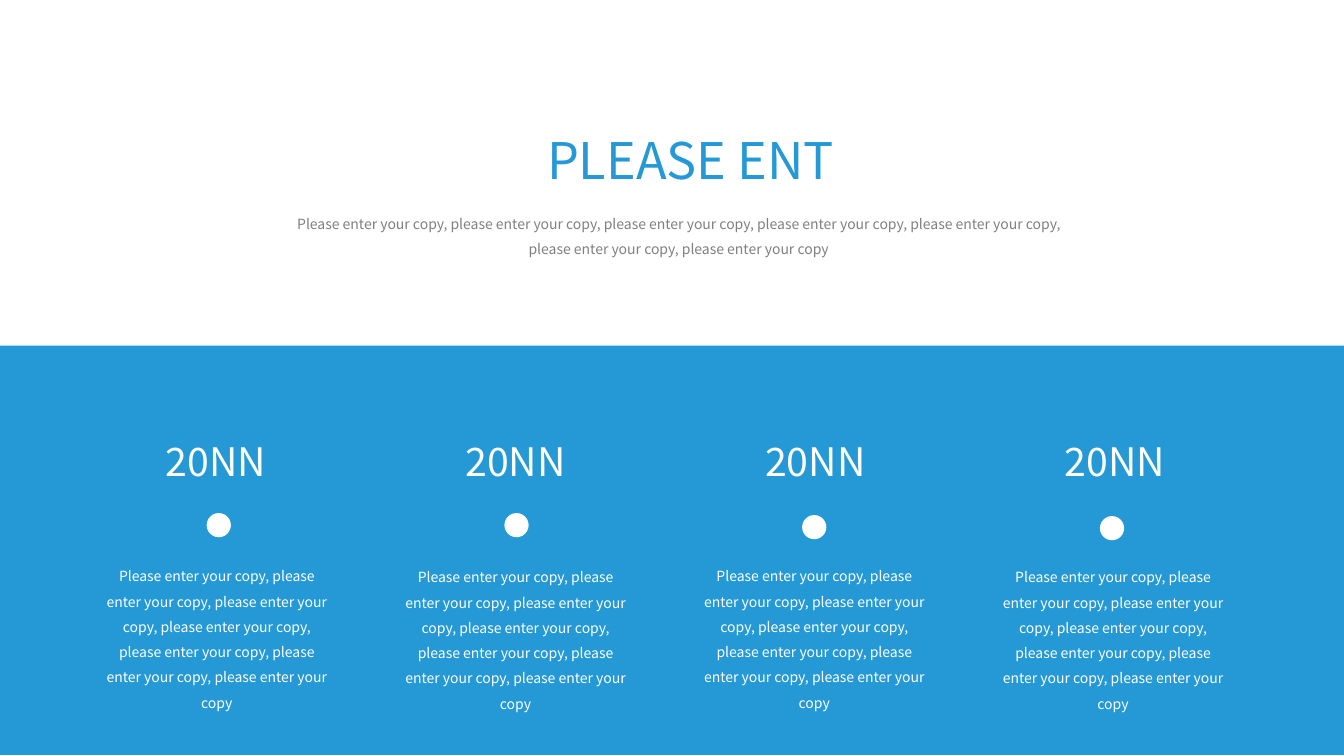
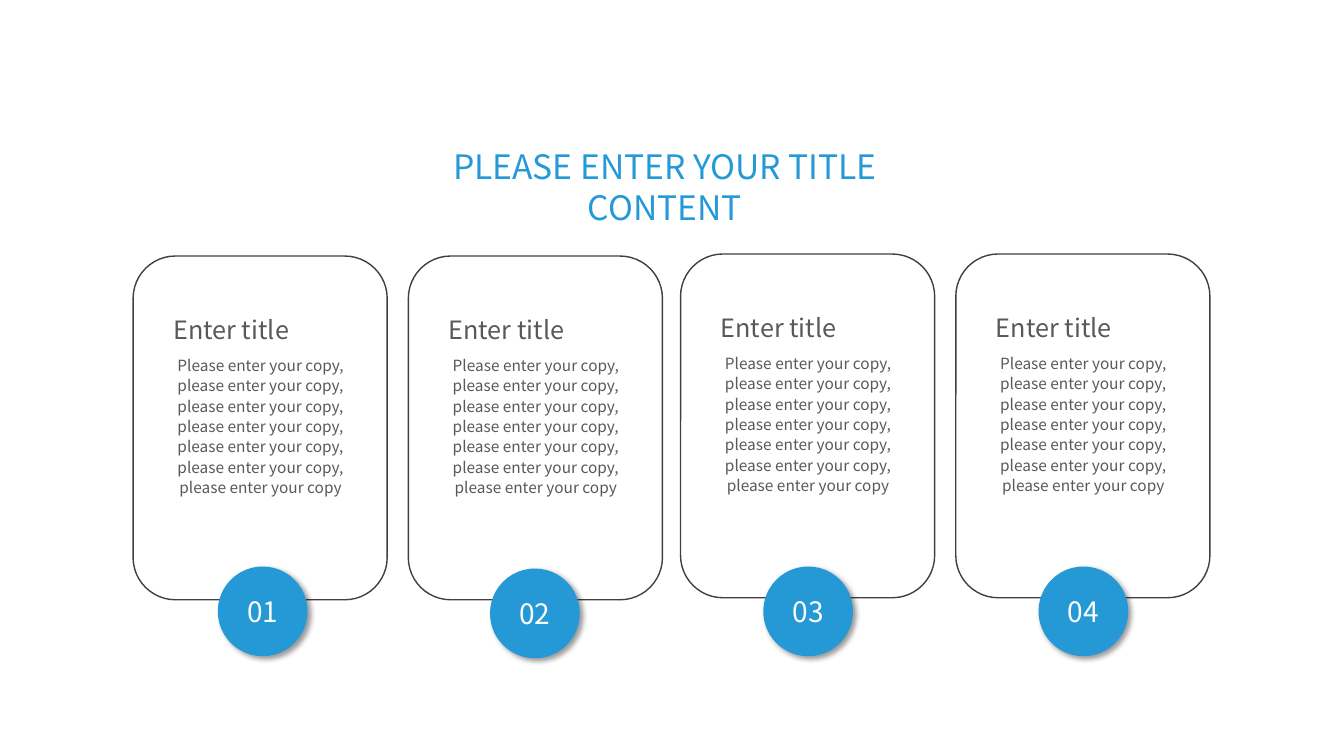
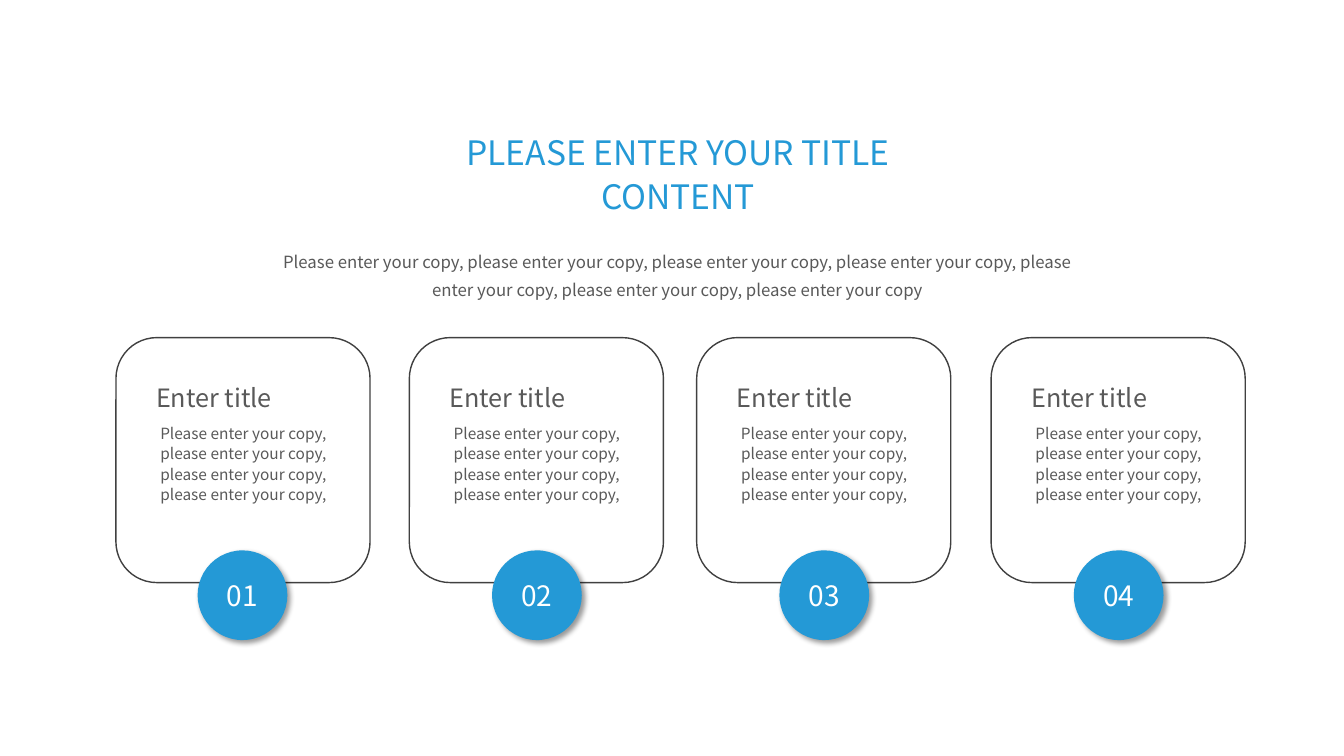
from pptx import Presentation
from pptx.dml.color import RGBColor
from pptx.enum.shapes import MSO_SHAPE
from pptx.enum.text import MSO_ANCHOR, MSO_AUTO_SIZE, PP_ALIGN
from pptx.oxml import parse_xml
from pptx.oxml.ns import nsdecls, qn
from pptx.util import Inches, Pt

RECT, ROUND, OVAL = MSO_SHAPE.RECTANGLE, MSO_SHAPE.ROUNDED_RECTANGLE, MSO_SHAPE.OVAL
LEFT, CENTER = PP_ALIGN.LEFT, PP_ALIGN.CENTER
MIDDLE = MSO_ANCHOR.MIDDLE
GROW = MSO_AUTO_SIZE.SHAPE_TO_FIT_TEXT


class Theme:
    font = "Noto Sans CJK SC"
    blue = RGBColor(0x24, 0x99, 0xD6)
    white = RGBColor(0xFF, 0xFF, 0xFF)
    pale = RGBColor(0x80, 0x80, 0x80)
    gray = RGBColor(0x59, 0x59, 0x59)
    dark = RGBColor(0x40, 0x40, 0x40)
    hero, year, title, badge, head = 36, 28, 24, 20, 18
    lead, body, small = 12, 11, 10


SHADOW = (
    f'<a:outerShdw {nsdecls("a")} blurRad="50800" dist="38100" dir="2700000" '
    'algn="tl" rotWithShape="0"><a:srgbClr val="000000"><a:alpha val="40000"/>'
    '</a:srgbClr></a:outerShdw>'
)


def add_shape(slide, kind, box, fill=None, line=None):
    shape = slide.shapes.add_shape(kind, *map(Inches, box))
    shape.shadow.inherit = False
    if fill is None:
        shape.fill.background()
    else:
        shape.fill.solid()
        shape.fill.fore_color.rgb = fill
    if line is None:
        shape.line.fill.background()
    else:
        shape.line.color.rgb = line
        shape.line.width = Pt(1)
    return shape


def add_text(slide, box, text, size, color, align=CENTER, space=1.0, pad=(0.1, 0.05), host=None):
    """Write into the host shape, or into a new text box that grows."""
    frame = (host or slide.shapes.add_textbox(*map(Inches, box))).text_frame
    frame.word_wrap = True
    if host is None:
        frame.auto_size = GROW
    else:
        frame.vertical_anchor = MIDDLE
    frame.margin_left = frame.margin_right = Inches(pad[0])
    frame.margin_top = frame.margin_bottom = Inches(pad[1])
    frame.text = text
    para = frame.paragraphs[0]
    para.alignment = align
    para.line_spacing = space
    font = para.runs[0].font
    font.name, font.size, font.color.rgb = Theme.font, Pt(size), color


deck = Presentation()
deck.slide_width, deck.slide_height = Inches(13.33), Inches(7.5)
years, tall, short = [deck.slides.add_slide(deck.slide_layouts[6]) for _ in range(3)]

COPY = "Please enter your copy" + ", please enter your copy" * 6
BRIEF = "Please enter your copy," + " please enter your copy," * 3
TITLE = "PLEASE ENTER YOUR TITLE CONTENT"

# Slide 1: heading over a blue band with four years
add_shape(years, RECT, (0, 3.43, 13.33, 4.06), Theme.blue)
add_text(years, (4.95, 1.23, 3.8, 0.71), "PLEASE ENT", Theme.hero, Theme.blue)
add_text(years, (2.88, 2.05, 7.7, 0.5), COPY, Theme.small, Theme.pale, space=1.5, pad=(0, 0))
for i, (dot, note) in enumerate([(5.09, 5.55), (5.09, 5.56), (5.11, 5.55), (5.12, 5.56)]):
    add_shape(years, OVAL, (2.05 + 2.953 * i, dot, 0.24, 0.24), Theme.white)
    add_text(years, (1.44 + 2.973 * i, 4.29, 1.4, 0.57), "20NN", Theme.year, Theme.white)
    add_text(years, (1 + 2.963 * i, note, 2.3, 1.51), COPY, Theme.small, Theme.white,
             space=1.5, pad=(0, 0))

# Slides 2 and 3: headings
add_text(tall, (3.91, 1.4, 5.37, 0.91), TITLE, Theme.title, Theme.blue)
add_text(short, (4.08, 1.22, 5.29, 0.99), TITLE, Theme.title, Theme.blue, space=1.1)
add_text(short, (2.61, 2.37, 8.22, 0.66), COPY, Theme.lead, Theme.gray, space=1.4)

# Slides 2 and 3: rows of cards; each spot is card left, card top, badge left, badge top
ROWS = [
    (tall, 3.41, 0.375, COPY, 1.52,
     [(1.32, 2.54, 2.16, 5.62), (4.05, 2.54, 4.86, 5.64),
      (6.75, 2.52, 7.57, 5.62), (9.48, 2.52, 10.3, 5.62)]),
    (short, 2.43, 0.24, BRIEF, 0.91,
     [(1.15, 3.35, 1.96, 5.46), (4.06, 3.35, 4.88, 5.46),
      (6.91, 3.35, 7.73, 5.46), (9.83, 3.35, 10.65, 5.46)]),
]
for slide, height, drop, copy, depth, spots in ROWS:
    for i, (left, top, x, y) in enumerate(spots, 1):
        add_shape(slide, ROUND, (left, top, 2.52, height), line=Theme.dark)
        head = top + drop
        add_text(slide, (left + 0.3, head, 2.02, 0.55), "Enter title", Theme.head, Theme.gray,
                 LEFT, 1.5)
        add_text(slide, (left + 0.2, head + 0.55, 2.13, depth), copy, Theme.body, Theme.gray,
                 space=1.1)
        badge = add_shape(slide, OVAL, (x, y, 0.89, 0.89), Theme.blue)
        badge.element.spPr.find(qn("a:effectLst")).append(parse_xml(SHADOW))
        add_text(slide, None, f"{i:02}", Theme.badge, Theme.white, pad=(0.13, 0.07), host=badge)

deck.save("out.pptx")
